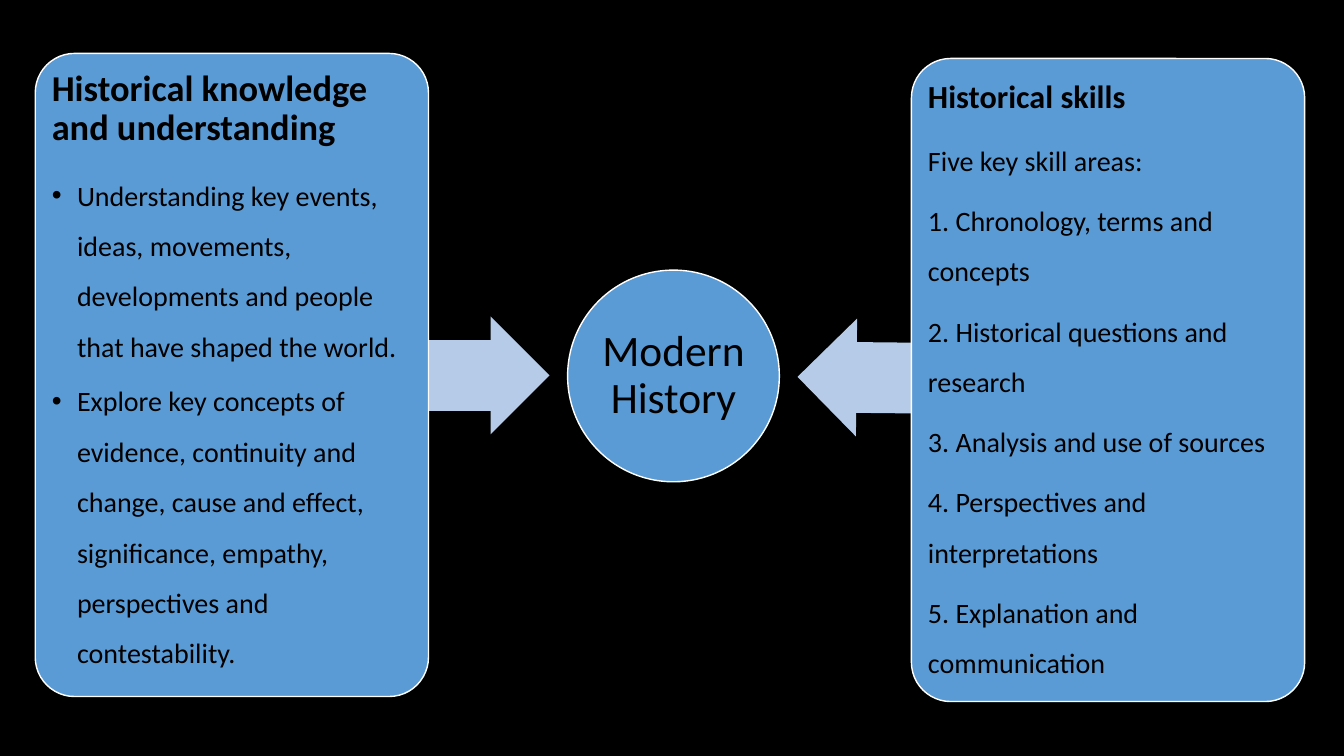
from lxml.etree import SubElement
from pptx import Presentation
from pptx.dml.color import RGBColor
from pptx.enum.shapes import MSO_SHAPE
from pptx.enum.text import MSO_ANCHOR, PP_ALIGN
from pptx.oxml.ns import qn
from pptx.util import Inches, Pt

FONT = "Calibri"
BLACK, WHITE, BLUE, PALE_BLUE = "000000", "FFFFFF", "5B9BD5", "B5CBE7"
BODY_SIZE = 20
PANEL_SIZE = (3.9, 6.38)

CENTRE = {"text": "Modern History", "size": 31, "box": (5.63, 2.68, 2.1, 2.1)}
PANELS = [
    {
        "heading": "Historical knowledge and understanding",
        "heading_size": 26,
        "body": [
            "Understanding key events, ideas, movements, developments and people "
            "that have shaped the world.",
            "Explore key concepts of evidence, continuity and change, cause and effect, "
            "significance, empathy, perspectives and contestability.",
        ],
        "bulleted": True,
        "body_gap": 0.15,
        "anchor": MSO_ANCHOR.TOP,
        "corner": (0.35, 0.53),
        "arrow": (2.3, 3.14, 3.15, 1.17),
        "rotation": 180,
    },
    {
        "heading": "Historical skills",
        "heading_size": 23,
        "body": [
            "Five key skill areas:",
            "1. Chronology, terms and concepts",
            "2. Historical questions and research",
            "3. Analysis and use of sources",
            "4. Perspectives and interpretations",
            "5. Explanation and communication",
        ],
        "bulleted": False,
        "body_gap": 0.35,
        "anchor": MSO_ANCHOR.MIDDLE,
        "corner": (9.04, 0.58),
        "arrow": (7.91, 3.17, 3.08, 1.17),
        "rotation": 0.6,
    },
]


def color(hex_string):
    return RGBColor.from_string(hex_string)


def add_filled_shape(slide, kind, box, fill, outlined=True):
    shape = slide.shapes.add_shape(kind, *map(Inches, box))
    shape.shadow.inherit = False
    shape.fill.solid()
    shape.fill.fore_color.rgb = color(fill)
    if outlined:
        shape.line.color.rgb = color(WHITE)
        shape.line.width = Pt(1)
    else:
        shape.line.fill.background()
    return shape


def prepare_frame(shape, inset, anchor):
    frame = shape.text_frame
    frame.word_wrap = True
    frame.vertical_anchor = anchor
    frame.margin_left = frame.margin_right = Inches(inset)
    frame.margin_top = frame.margin_bottom = Inches(inset)
    return frame


def write_paragraph(paragraph, text, size, line_spacing, gap,
                    bold=False, bulleted=False, align=PP_ALIGN.LEFT):
    """Fill a paragraph; gap is the space after it as a share of the text size."""
    paragraph.alignment = align
    paragraph.line_spacing = line_spacing
    paragraph.space_after = Pt(size * gap)
    if bulleted:
        properties = paragraph._p.get_or_add_pPr()
        properties.set("marL", str(Inches(0.25)))
        properties.set("indent", str(Inches(-0.25)))
        SubElement(properties, qn("a:buFont"), typeface="Arial")
        SubElement(properties, qn("a:buChar"), char="•")
    run = paragraph.add_run()
    run.text = text
    run.font.name = FONT
    run.font.size = Pt(size)
    run.font.bold = bold
    run.font.color.rgb = color(BLACK)


def add_centre(slide):
    circle = add_filled_shape(slide, MSO_SHAPE.OVAL, CENTRE["box"], BLUE)
    frame = prepare_frame(circle, 0.02, MSO_ANCHOR.MIDDLE)
    write_paragraph(frame.paragraphs[0], CENTRE["text"], CENTRE["size"], 0.9, 0.35,
                    align=PP_ALIGN.CENTER)


def add_panel(slide, panel):
    """Add the arrow towards the centre, then the panel that covers its tail."""
    arrow = add_filled_shape(slide, MSO_SHAPE.LEFT_ARROW, panel["arrow"], PALE_BLUE,
                             outlined=False)
    arrow.adjustments[0] = 0.6
    arrow.adjustments[1] = 0.5
    arrow.rotation = panel["rotation"]

    card = add_filled_shape(slide, MSO_SHAPE.ROUNDED_RECTANGLE,
                            panel["corner"] + PANEL_SIZE, BLUE)
    card.adjustments[0] = 0.1
    frame = prepare_frame(card, 0.05, panel["anchor"])
    write_paragraph(frame.paragraphs[0], panel["heading"], panel["heading_size"],
                    0.9, 0.35, bold=True)
    for text in panel["body"]:
        write_paragraph(frame.add_paragraph(), text, BODY_SIZE, 1.5, panel["body_gap"],
                        bulleted=panel["bulleted"])


def main():
    presentation = Presentation()
    presentation.slide_width = Inches(13.33)
    presentation.slide_height = Inches(7.5)
    slide = presentation.slides.add_slide(presentation.slide_layouts[6])
    slide.background.fill.solid()
    slide.background.fill.fore_color.rgb = color(BLACK)
    add_centre(slide)
    for panel in PANELS:
        add_panel(slide, panel)
    presentation.save("out.pptx")


if __name__ == "__main__":
    main()
